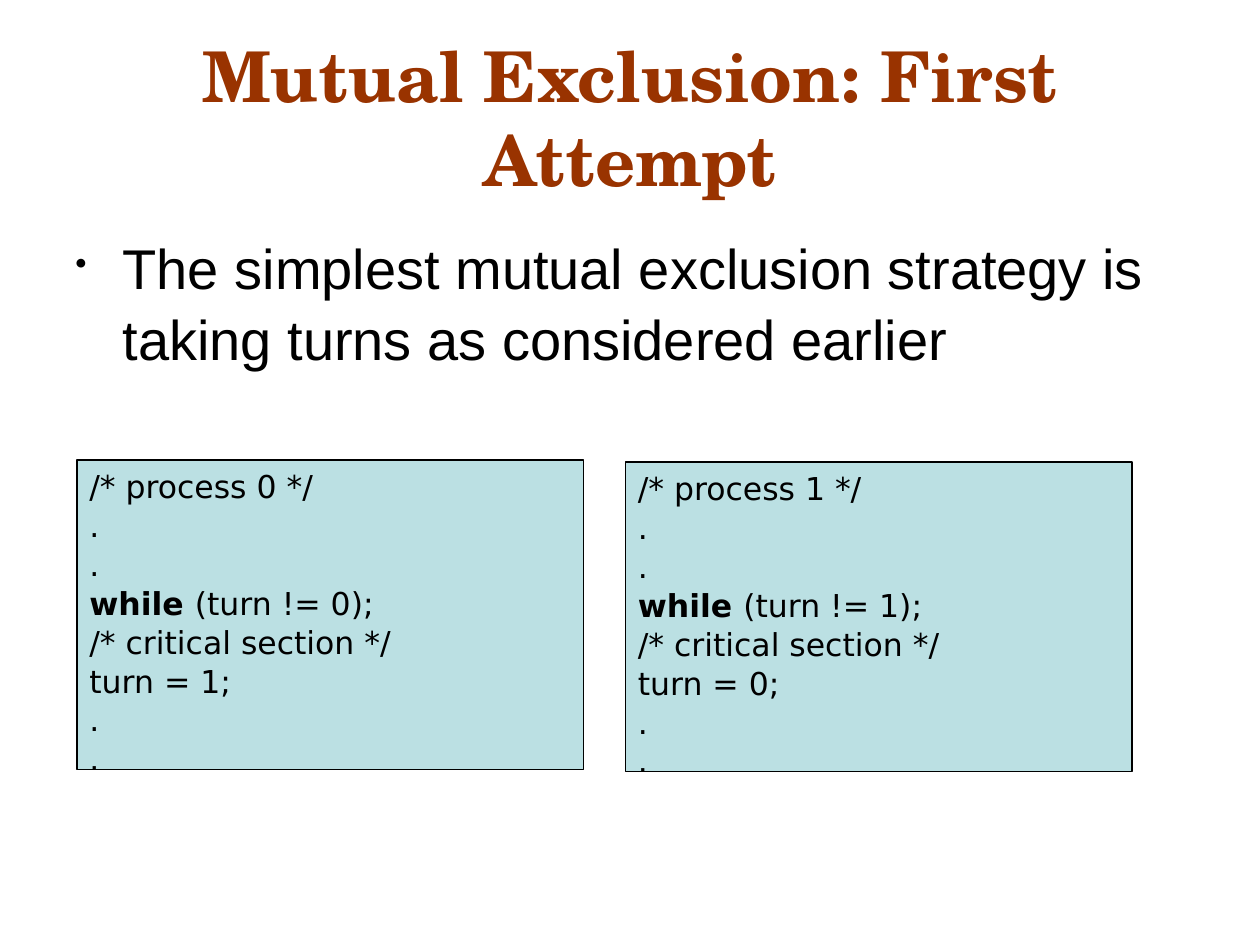
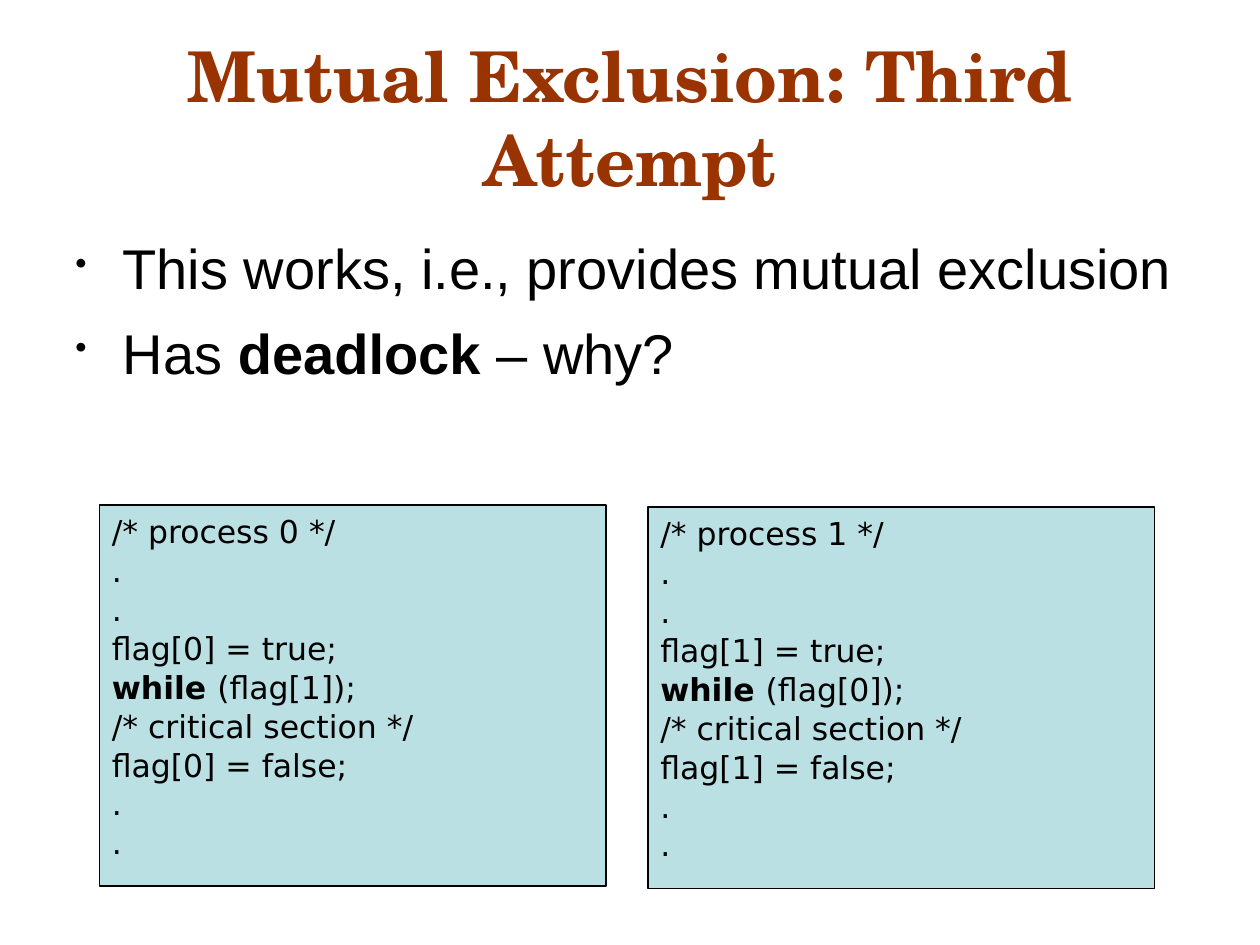
from pptx import Presentation
from pptx import util as u
from pptx.dml.color import RGBColor
from pptx.enum import shapes, text
from pptx.oxml import parse_xml
from pptx.oxml.ns import nsdecls

Pt = u.Pt
RUST, BLACK, AQUA = "993300", "000000", "BBE0E3"


def color(code):
    return RGBColor.from_string(code)


class Deck:
    def __init__(self):
        self.prs = Presentation()
        self.prs.slide_width, self.prs.slide_height = Pt(720), Pt(540)
        self.slide = None

    def start(self, title):
        self.slide = self.prs.slides.add_slide(self.prs.slide_layouts[6])
        frame = self.box(36, 21.6, 648, 90)
        frame.vertical_anchor = text.MSO_ANCHOR.MIDDLE
        self.fill(frame, [title], "TeX Gyre Schola", 40, RUST)
        para = frame.paragraphs[0]
        para.alignment = text.PP_ALIGN.CENTER
        para.font.bold = True

    def box(self, left, top, width, height):
        box = self.slide.shapes.add_textbox(Pt(left), Pt(top), Pt(width), Pt(height))
        box.text_frame.word_wrap = True
        return box.text_frame

    def fill(self, frame, lines, font, size, hue, space=1.0, bullet=False):
        """Fill a frame; text between asterisk pairs (**) is bold."""
        for num, line in enumerate(lines):
            para = frame.add_paragraph() if num else frame.paragraphs[0]
            para.alignment = text.PP_ALIGN.LEFT
            para.line_spacing = space
            if bullet:
                para.space_before = Pt(8 if num else 0)
                self.bullet(para)
            para.font.name, para.font.size = font, Pt(size)
            para.font.color.rgb = color(hue)
            for pos, part in enumerate(line.split("**")):
                if part:
                    run = para.add_run()
                    run.text = part
                    if pos % 2:
                        run.font.bold = True

    def bullet(self, para):
        props = para._p.get_or_add_pPr()
        props.set("marL", str(Pt(27)))
        props.set("indent", str(-Pt(27)))
        for tag in (f'<a:buClr {nsdecls("a")}><a:srgbClr val="{BLACK}"/></a:buClr>',
                    f'<a:buSzPct {nsdecls("a")} val="60000"/>',
                    f'<a:buChar {nsdecls("a")} char="•"/>'):
            props.append(parse_xml(tag))

    def points(self, *lines):
        frame = self.box(36, 128, 648, 354.4)
        self.fill(frame, lines, "Arial", 32, BLACK, 1.055, True)

    def code(self, left, top, height, lines):
        rect = self.slide.shapes.add_shape(
            shapes.MSO_SHAPE.RECTANGLE, Pt(left), Pt(top), Pt(289.5), Pt(height))
        rect.shadow.inherit = False
        rect.fill.solid()
        rect.fill.fore_color.rgb = color(AQUA)
        rect.line.color.rgb = color(BLACK)
        rect.line.width = Pt(1)
        frame = rect.text_frame
        frame.word_wrap = True
        frame.vertical_anchor = text.MSO_ANCHOR.TOP
        self.fill(frame, lines, "DejaVu Sans", 18, BLACK, 1.03)

    def pair(self, left, top, height, steps):
        """Draw both processes side by side; steps(me, other) gives the code."""
        for me in (0, 1):
            lines = [f"/* process {me} */", ".", ".", *steps(me, 1 - me), ".", "."]
            self.code(left + 313.4 * me, top + 1.2 * me, height, lines)


def turns(me, other):
    return [f"**while **(turn != {me});", "/* critical section */", f"turn = {other};"]


def flags(me, other):
    return [f"flag[{me}] = true;", f"**while **(flag[{other}]);",
            "/* critical section */", f"flag[{me}] = false;"]


def main():
    deck = Deck()
    deck.start("Mutual Exclusion: First Attempt")
    deck.points("The simplest mutual exclusion strategy is taking turns as considered earlier")
    deck.pair(44, 262.8, 177, turns)

    deck.start("Mutual Exclusion: Third Attempt")
    deck.points("This works, i.e., provides mutual exclusion", "Has **deadlock** – why?")
    deck.pair(56.8, 288.5, 218, flags)
    deck.prs.save("out.pptx")


if __name__ == "__main__":
    main()
